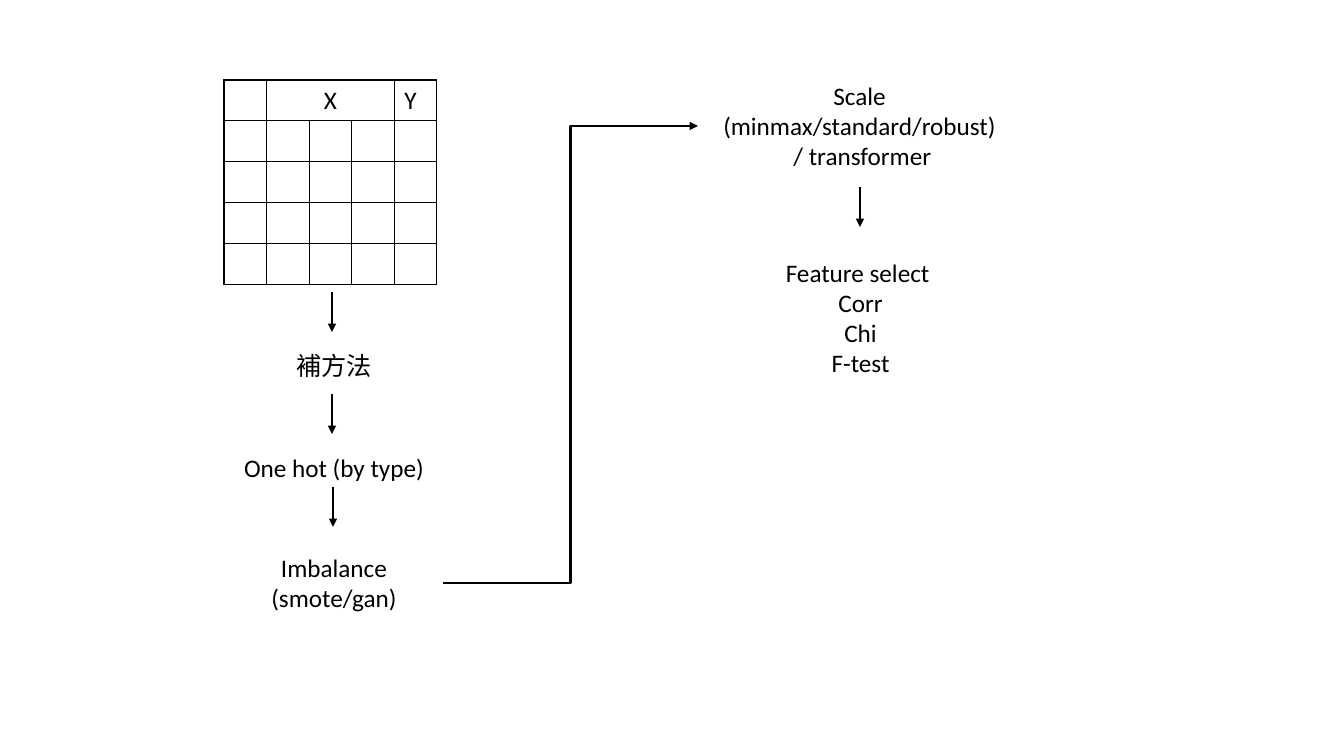
from lxml import etree
from pptx import Presentation
from pptx import util as u
from pptx.dml.color import RGBColor
from pptx.enum import shapes, text
from pptx.oxml import ns

SCALE = 914400 / 100.8


def px(value):
    return u.Emu(round(value * SCALE))


def color(value):
    return RGBColor.from_string(value)


def apply(target, values):
    for name, value in values.items():
        setattr(target, name, value)


class FlowSlide:
    ink = "000000"
    font = {"name": "Calibri", "size": u.Pt(18), "bold": False}
    box = {"word_wrap": True, "auto_size": text.MSO_AUTO_SIZE.SHAPE_TO_FIT_TEXT}
    plain_table = {"first_row": False, "horz_banding": False}

    def __init__(self, slide):
        self.slide = slide

    def fill_paragraph(self, paragraph, words, alignment):
        paragraph.alignment = alignment
        paragraph.text = words
        apply(paragraph.font, self.font)
        paragraph.font.color.rgb = color(self.ink)

    def label(self, left, top, width, height, lines):
        shape = self.slide.shapes.add_textbox(*map(px, (left, top, width, height)))
        frame = shape.text_frame
        apply(frame, self.box)
        for index, words in enumerate(lines):
            paragraph = frame.add_paragraph() if index else frame.paragraphs[0]
            self.fill_paragraph(paragraph, words, text.PP_ALIGN.CENTER)

    def arrow(self, start, end, kind=shapes.MSO_CONNECTOR.STRAIGHT):
        connector = self.slide.shapes.add_connector(kind, *map(px, start + end))
        connector.line.width = u.Pt(1.5)
        connector.line.color.rgb = color(self.ink)
        properties = connector._element.spPr
        line = properties.find(ns.qn("a:ln"))
        etree.SubElement(line, ns.qn("a:tailEnd"), type="triangle")
        etree.SubElement(properties, ns.qn("a:effectLst"))

    def border(self, cell):
        cell.fill.background()
        properties = cell._tc.get_or_add_tcPr()
        for index, side in enumerate(("lnL", "lnR", "lnT", "lnB")):
            line = etree.Element(ns.qn(f"a:{side}"), w=str(int(u.Pt(1))))
            fill = etree.SubElement(line, ns.qn("a:solidFill"))
            etree.SubElement(fill, ns.qn("a:srgbClr"), val=self.ink)
            properties.insert(index, line)

    def grid(self, left, top, width, height, size):
        frame = self.slide.shapes.add_table(size, size, *map(px, (left, top, width, height)))
        table = frame.table
        apply(table, self.plain_table)
        for cell in table.iter_cells():
            self.border(cell)
        return table


presentation = Presentation()
apply(presentation, {"slide_width": px(1344), "slide_height": px(756)})
flow = FlowSlide(presentation.slides.add_slide(presentation.slide_layouts[6]))

data_table = flow.grid(224, 80, 213, 200, 5)
data_table.cell(0, 1).merge(data_table.cell(0, 3))
for column, heading, alignment in (
    (1, "X", text.PP_ALIGN.CENTER),
    (4, "Y", text.PP_ALIGN.LEFT),
):
    flow.fill_paragraph(data_table.cell(0, column).text_frame.paragraphs[0], heading, alignment)

for top, height, step in (
    (345, 40, "補方法"),
    (447, 40, "One hot (by type)"),
    (547, 72, "Imbalance (smote/gan)"),
):
    flow.label(225, top, 218, height, [step])

flow.label(698, 75, 323, 102, ["Scale (minmax/standard/robust)", " / transformer"])
flow.label(699, 252, 323, 132, ["Feature select ", "Corr", "Chi", "F-test"])

for x, y in ((332, 292), (332, 394), (333, 487), (860, 187)):
    flow.arrow((x, y), (x, y + 40))
flow.arrow((443, 583), (698, 126), shapes.MSO_CONNECTOR.ELBOW)

presentation.save("out.pptx")
